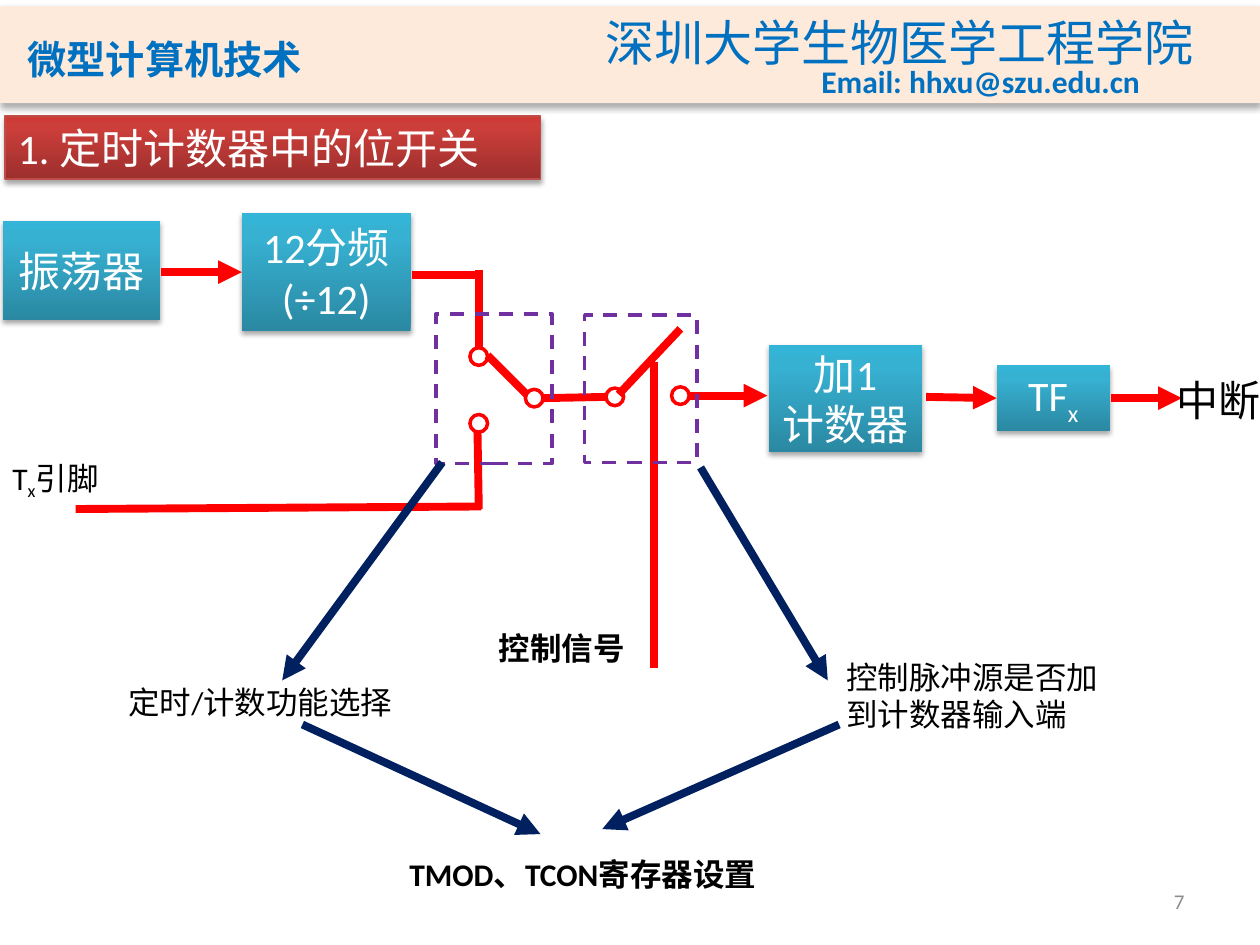
from lxml import etree
from pptx import Presentation
from pptx.dml.color import RGBColor
from pptx.enum.dml import MSO_LINE
from pptx.enum.shapes import MSO_CONNECTOR, MSO_SHAPE
from pptx.enum.text import MSO_ANCHOR, MSO_AUTO_SIZE, PP_ALIGN
from pptx.oxml import parse_xml
from pptx.oxml.ns import qn
from pptx.util import Inches, Pt

RECTANGLE, OVAL = MSO_SHAPE.RECTANGLE, MSO_SHAPE.OVAL
STRAIGHT, DASH = MSO_CONNECTOR.STRAIGHT, MSO_LINE.DASH
LEFT, CENTER, RIGHT = PP_ALIGN.LEFT, PP_ALIGN.CENTER, PP_ALIGN.RIGHT
TOP, MIDDLE, BOTTOM = MSO_ANCHOR.TOP, MSO_ANCHOR.MIDDLE, MSO_ANCHOR.BOTTOM
GROW, FIXED = MSO_AUTO_SIZE.SHAPE_TO_FIT_TEXT, MSO_AUTO_SIZE.NONE

BLACK, WHITE = RGBColor(0, 0, 0), RGBColor(255, 255, 255)
BLUE, NAVY = RGBColor(0x00, 0x70, 0xC0), RGBColor(0x00, 0x20, 0x60)
RED, PURPLE = RGBColor(0xFF, 0, 0), RGBColor(0x70, 0x30, 0xA0)
PEACH, GRAY = RGBColor(0xFD, 0xEA, 0xDA), RGBColor(0x8C, 0x8C, 0x8C)
BRICK = RGBColor(0xBF, 0x4C, 0x48)
TEAL_STOPS = ((0, "2A88A2"), (80, "37B1D2"), (100, "34B4D6"))
RED_STOPS = ((0, "9C2F2D"), (80, "CB3E3A"), (100, "CE3B37"))
LATIN, CJK, CJK_HEADER = "Calibri", "Noto Sans CJK SC", "Noto Sans CJK JP"
DRAWING = 'xmlns:a="http://schemas.openxmlformats.org/drawingml/2006/main"'
SUBSCRIPT = "-25000"

# Paragraphs are lists of (text, is subscript).
TITLE = [[("1. 定时计数器中的位开关", False)]]
BLOCKS = [
    ((0.02, 1.75, 1.25, 0.79), [[("振荡器", False)]]),
    ((1.92, 1.69, 1.34, 0.94), [[("12分频(÷12)", False)]]),
    ((6.1, 2.74, 1.22, 0.85), [[("加1", False)], [("计数器", False)]]),
    ((7.91, 2.9, 0.9, 0.52), [[("TF", False), ("x", True)]]),
]
WIRES = [
    (3.27, 2.18, 3.81, 2.18), (3.8, 2.14, 3.8, 2.76),
    (3.79, 3.43, 3.8, 4.04), (0.6, 4.04, 3.82, 4.02),
    (3.87, 2.82, 4.18, 3.13), (4.31, 3.16, 4.81, 3.15),
    (5.4, 2.61, 4.91, 3.13), (5.19, 2.87, 5.19, 5.3),
]
SIGNAL_ARROWS = [
    (1.28, 2.16, 1.92, 2.16), (5.47, 3.14, 6.09, 3.14),
    (7.35, 3.15, 7.91, 3.16), (8.82, 3.16, 9.38, 3.16),
]
NOTE_ARROWS = [
    (3.51, 3.67, 2.24, 5.4), (5.56, 3.71, 6.57, 5.4),
    (2.4, 5.75, 4.29, 6.62), (6.66, 5.75, 4.78, 6.58),
]
CONTACT_SIZE = 0.14
CONTACTS = [(3.73, 2.76), (3.73, 3.29), (4.17, 3.09), (4.81, 3.08), (5.33, 3.07)]
SWITCHES = [(4.64, 2.5, 0.89, 1.17), (3.46, 2.49, 0.92, 1.19)]
# place, paragraphs, text style, wraps
LABELS = [
    ((4.71, 0.05, 4.91, 0.57), [[("深圳大学生物医学工程学院", False)]],
     dict(size=28, color=BLUE, latin=CJK), False),
    ((6.42, 0.44, 2.75, 0.4), [[("Email: hhxu@szu.edu.cn", False)]],
     dict(color=BLUE, bold=True), False),
    ((3.86, 4.94, 1.21, 0.4), [[("控制信号", False)]], dict(bold=True), False),
    ((9.24, 2.92, 0.88, 0.5), [[("中断", False)]], dict(size=24), False),
    ((0, 3.59, 0.92, 0.4),
     [[("T", False), ("x", True), ("引脚", False)]], {}, False),
    ((0.92, 5.37, 2.32, 0.4), [[("定时/计数功能选择", False)]], {}, False),
    ((6.62, 5.17, 2.26, 0.71),
     [[("控制脉冲源是否加到计数器输入端", False)]], {}, True),
    ((3.15, 6.74, 2.99, 0.4),
     [[("TMOD、TCON寄存器设置", False)]], dict(bold=True), False),
]


def write(box, paragraphs, size=18, color=BLACK, bold=False, align=LEFT,
          anchor=TOP, latin=LATIN, asian=CJK, small_caps=False):
    frame = box.text_frame
    frame.vertical_anchor = anchor
    for index, spans in enumerate(paragraphs):
        para = frame.add_paragraph() if index else frame.paragraphs[0]
        para.alignment = align
        for text, is_subscript in spans:
            span = para.add_run()
            span.text = text
            font = span.font
            font.size, font.bold, font.name = Pt(size), bold, latin
            font.color.rgb = color
            properties = font._element
            latin_font = properties.find(qn("a:latin"))
            asian_font = etree.Element(qn("a:ea"), typeface=asian)
            latin_font.addnext(asian_font)
            if is_subscript:
                properties.set("baseline", SUBSCRIPT)
            if small_caps:
                properties.set("cap", "small")


def fill_gradient(shape, stops):
    """Run the stops from the bottom of the shape to its top."""
    shape.fill.background()
    stop_xml = "".join(
        f'<a:gs pos="{place * 1000}"><a:srgbClr val="{color}"/></a:gs>'
        for place, color in stops)
    gradient = parse_xml(
        f'<a:gradFill {DRAWING} rotWithShape="1"><a:gsLst>{stop_xml}</a:gsLst>'
        '<a:lin ang="16200000" scaled="0"/></a:gradFill>')
    properties = shape._element.spPr
    properties.replace(properties.find(qn("a:noFill")), gradient)


def add_shadow(shape, blur=3.1, distance=1.8, opacity=35):
    shape.shadow.inherit = False
    shape._element.spPr.find(qn("a:effectLst")).append(parse_xml(
        f'<a:outerShdw {DRAWING} blurRad="{Pt(blur)}" dist="{Pt(distance)}" '
        'dir="5400000" rotWithShape="0"><a:srgbClr val="000000">'
        f'<a:alpha val="{opacity * 1000}"/></a:srgbClr></a:outerShdw>'))


def add_plain_shape(page, kind, place):
    """Add a shape with no fill, line or shadow."""
    shape = page.shapes.add_shape(kind, *map(Inches, place))
    shape.shadow.inherit = False
    shape.fill.background()
    shape.line.fill.background()
    return shape


def add_outline(page, kind, place, color):
    shape = add_plain_shape(page, kind, place)
    shape.line.color.rgb = color
    shape.line.width = Pt(2)
    return shape


def add_line(page, ends, color, arrow=False):
    line = page.shapes.add_connector(STRAIGHT, *map(Inches, ends))
    line.line.color.rgb = color
    line.line.width = Pt(4.5)
    if arrow:
        etree.SubElement(line.line._get_or_add_ln(), qn("a:tailEnd"), type="triangle")
    etree.SubElement(line._element.spPr, qn("a:effectLst"))


def add_text(page, place, paragraphs, wrap=True, grow=False, **style):
    box = page.shapes.add_textbox(*map(Inches, place))
    box.text_frame.word_wrap = wrap
    if grow:
        box.text_frame.auto_size = GROW
    write(box, paragraphs, **style)


def main():
    deck = Presentation()
    deck.slide_width, deck.slide_height = Inches(10), Inches(7.5)
    page = deck.slides.add_slide(deck.slide_layouts[5])

    title = page.shapes.title
    title.left, title.top, title.width, title.height = map(
        Inches, (0.04, 0.92, 4.25, 0.5))
    fill_gradient(title, RED_STOPS)
    title.line.color.rgb = BRICK
    title.line.width = Pt(0.75)
    add_shadow(title)
    title.text_frame.auto_size = FIXED
    write(title, TITLE, size=24, color=WHITE)

    band = add_plain_shape(page, RECTANGLE, (0, 0.05, 10, 0.77))
    band.fill.solid()
    band.fill.fore_color.rgb = PEACH
    add_shadow(band, blur=3.5, distance=2.2, opacity=32)
    add_text(page, (0.12, 0.16, 3.39, 0.56), [[("微型计算机技术", False)]],
             size=28, color=BLUE, bold=True, anchor=BOTTOM,
             latin=CJK_HEADER, asian=CJK_HEADER, small_caps=True)
    add_text(page, (7.17, 6.95, 2.33, 0.4), [[("7", False)]],
             size=12, color=GRAY, align=RIGHT, anchor=MIDDLE)

    for place, paragraphs in BLOCKS:
        block = add_plain_shape(page, RECTANGLE, place)
        fill_gradient(block, TEAL_STOPS)
        add_shadow(block)
        write(block, paragraphs, size=24, color=WHITE, align=CENTER, anchor=MIDDLE)
    for ends in WIRES:
        add_line(page, ends, RED)
    for ends in SIGNAL_ARROWS:
        add_line(page, ends, RED, arrow=True)
    for left, top in CONTACTS:
        add_outline(page, OVAL, (left, top, CONTACT_SIZE, CONTACT_SIZE), RED)
    for place in SWITCHES:
        add_outline(page, RECTANGLE, place, PURPLE).line.dash_style = DASH
    for ends in NOTE_ARROWS:
        add_line(page, ends, NAVY, arrow=True)
    for place, paragraphs, style, wrap in LABELS:
        add_text(page, place, paragraphs, wrap, grow=True, **style)

    deck.save("out.pptx")


if __name__ == "__main__":
    main()
